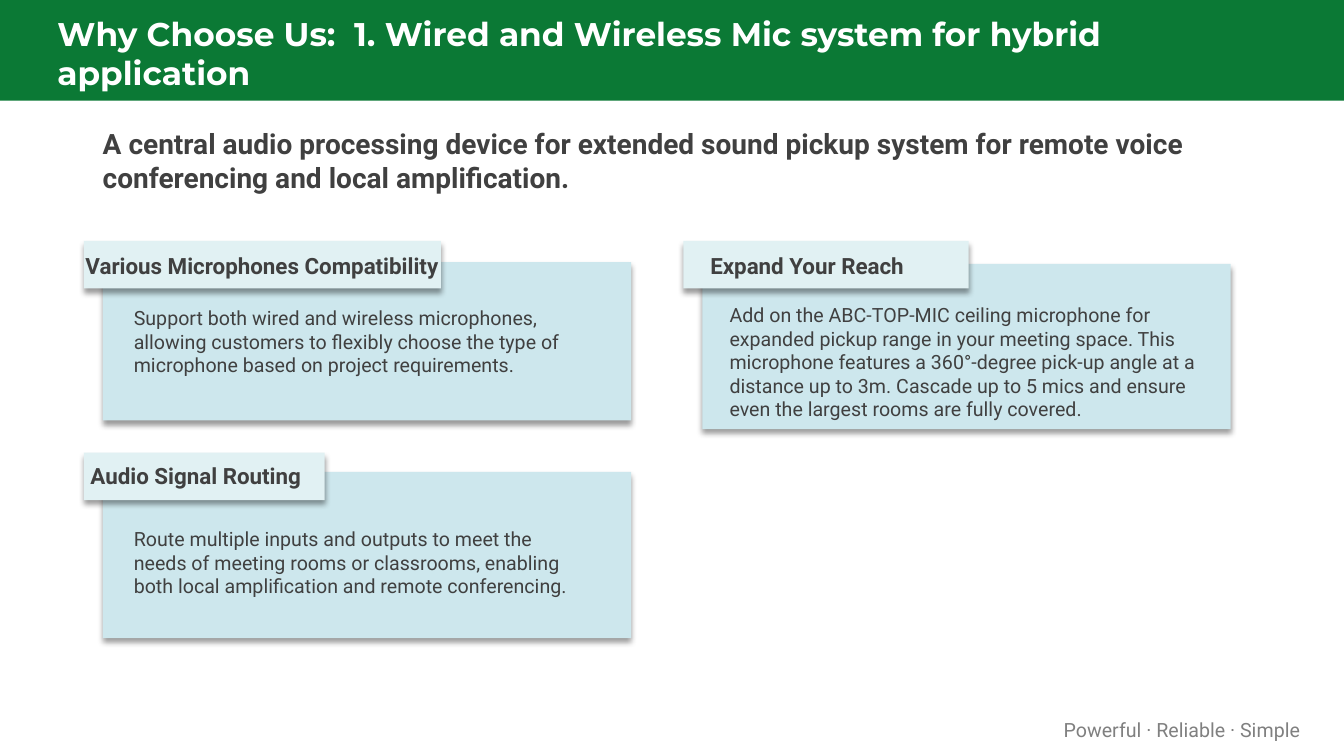
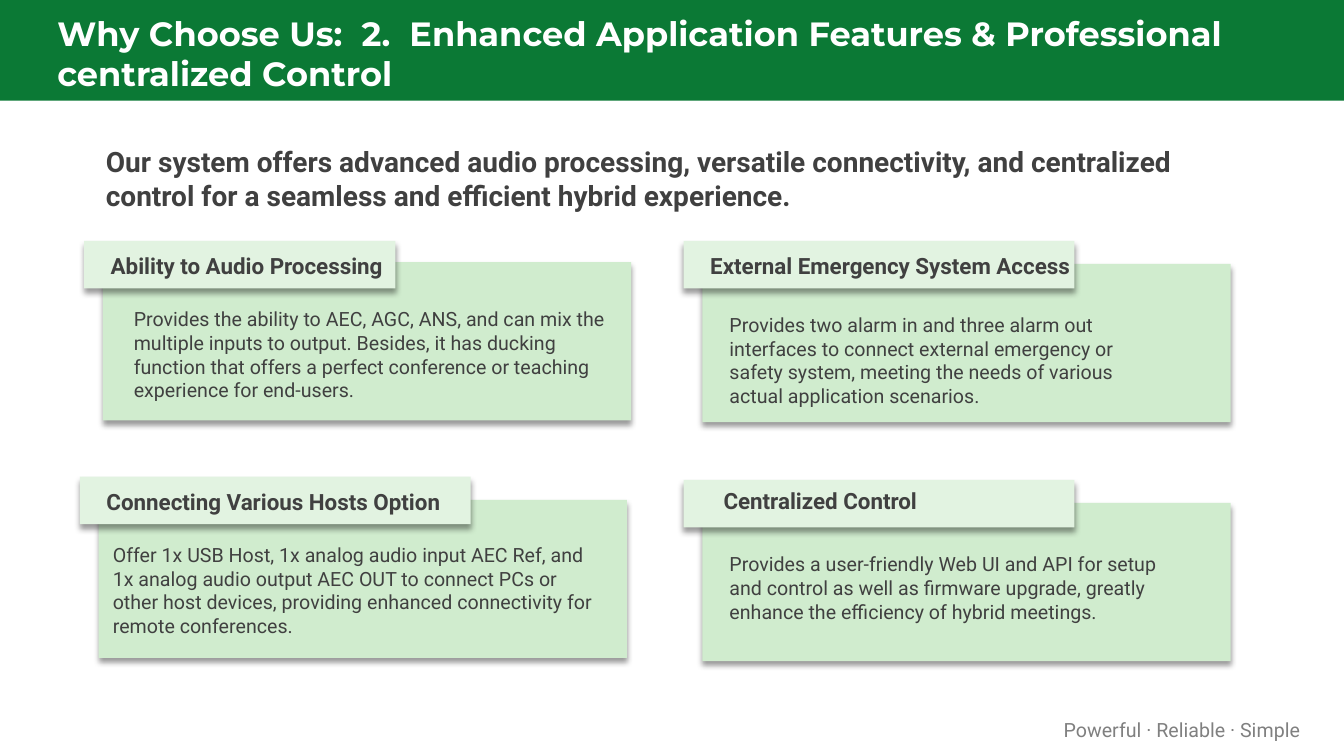
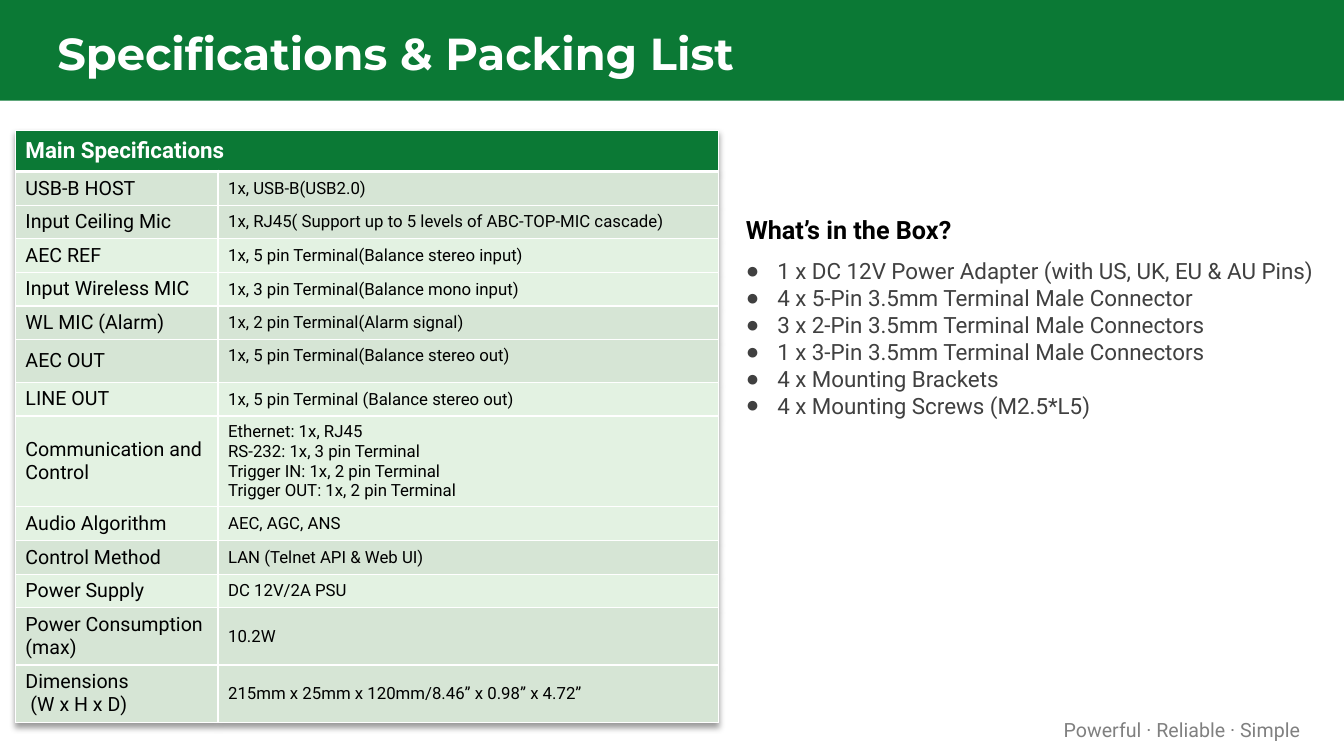
from lxml import etree
from pptx import Presentation
from pptx.dml.color import RGBColor
from pptx.enum.shapes import MSO_SHAPE
from pptx.enum.text import MSO_ANCHOR, MSO_AUTO_SIZE, PP_ALIGN
from pptx.oxml import parse_xml
from pptx.oxml.ns import nsdecls, qn
from pptx.util import Pt

W, H = 960, 540
COLORS = {
    "green": "0B7935", "white": "FFFFFF", "black": "000000",
    "text": "404040", "muted": "808080",
    "blue_panel": "CDE7ED", "blue_tab": "E1F1F3",
    "green_panel": "D0ECCE", "green_tab": "E2F3E1",
    "row_dark": "D6E5D5", "row_light": "E3F2E2",
}
TITLE_FONT, BODY_FONT = "Montserrat", "Roboto"
PANEL_W, TAB_H, TAB_DX = 377.25, 34, -13.5
ROW_H = 23.75


def rgb(name):
    return RGBColor.from_string(COLORS[name])


def write(tf, text, size=14, color="text", bold=False, font=BODY_FONT,
          align=None, line=None, anchor=MSO_ANCHOR.TOP):
    """Fill a text frame, one paragraph for each line of text."""
    tf.word_wrap = True
    tf.vertical_anchor = anchor
    for i, part in enumerate(text.split("\n")):
        p = tf.paragraphs[0] if i == 0 else tf.add_paragraph()
        p.alignment = align
        if line:
            p.line_spacing = Pt(line)
        r = p.add_run()
        r.text = part
        r.font.name, r.font.size, r.font.bold = font, Pt(size), bold
        r.font.color.rgb = rgb(color)
    return tf


def place(sp, x, y, w, h):
    sp.left, sp.top, sp.width, sp.height = Pt(x), Pt(y), Pt(w), Pt(h)


def text_box(s, x, y, w, h, text, **fmt):
    sp = s.shapes.add_textbox(Pt(x), Pt(y), Pt(w), Pt(h))
    return write(sp.text_frame, text, **fmt)


def shadow():
    return parse_xml(
        f'<a:effectLst {nsdecls("a")}><a:outerShdw blurRad="{Pt(4)}" dist="{Pt(3)}" '
        f'dir="5400000" algn="t" rotWithShape="0"><a:srgbClr val="{COLORS["black"]}">'
        '<a:alpha val="40000"/></a:srgbClr></a:outerShdw></a:effectLst>')


def rect(s, x, y, w, h, fill, raised=False):
    sp = s.shapes.add_shape(MSO_SHAPE.RECTANGLE, Pt(x), Pt(y), Pt(w), Pt(h))
    sp.fill.solid()
    sp.fill.fore_color.rgb = rgb(fill)
    sp.line.fill.background()
    if raised:
        sp._element.spPr.append(shadow())
    else:
        sp.shadow.inherit = False
    return sp


def base_slide(prs, layout, title, size, title_w=888):
    """Slide with the green title band and the footer line."""
    s = prs.slides.add_slide(prs.slide_layouts[layout])
    sp = s.shapes.title
    band = rect(s, 0, 0, W, 72, "green")
    sp._element.addprevious(band._element)
    place(sp, 36, 13.75, title_w, 48)
    tf = write(sp.text_frame, title, size=size, color="white", bold=True,
               font=TITLE_FONT, align=PP_ALIGN.LEFT, anchor=MSO_ANCHOR.MIDDLE)
    tf.auto_size = MSO_AUTO_SIZE.NONE
    tf.margin_left = tf.margin_right = Pt(5)
    tf.margin_top = tf.margin_bottom = Pt(2.25)
    tf = text_box(s, 733.75, 509, 207.25, 24.25, "Powerful · Reliable · Simple",
                  color="muted", align=PP_ALIGN.RIGHT)
    tf.margin_right = Pt(12.25)
    return s


def card(s, theme, box, tab, head, body):
    """Panel with a raised tab; the tab and body sit relative to the panel."""
    x, y, h = box
    tab_dy, tab_w = tab
    head_text, head_dx, head_dy, head_w = head
    body_text, body_dx, body_dy, body_w = body
    tab_x, tab_y = x + TAB_DX, y + tab_dy
    rect(s, x, y, PANEL_W, h, theme + "_panel", raised=True)
    rect(s, tab_x, tab_y, tab_w, TAB_H, theme + "_tab", raised=True)
    text_box(s, tab_x + head_dx, tab_y + head_dy, head_w, 25.25, head_text,
             size=16, bold=True, line=21)
    text_box(s, x + body_dx, y + body_dy, body_w, 79, body_text)


def cards_slide(prs, title, size, title_w, lead, lead_box, theme, cards):
    s = base_slide(prs, 5, title, size, title_w)
    text_box(s, *lead_box, lead, size=20, bold=True)
    for parts in cards:
        card(s, theme, *parts)


def style_cell(cell, fill, bottom=1):
    """Solid fill and white borders."""
    cell.fill.solid()
    cell.fill.fore_color.rgb = rgb(fill)
    tcPr = cell._tc.get_or_add_tcPr()
    for i, side in enumerate("LRTB"):
        ln = etree.Element(qn("a:ln" + side), w=str(Pt(bottom if side == "B" else 1)))
        solid = etree.SubElement(ln, qn("a:solidFill"))
        etree.SubElement(solid, qn("a:srgbClr"), val=COLORS["white"])
        tcPr.insert(i, ln)


def spec_table(s, x, y, heading, rows):
    heights = [29.5] + [row[3] for row in rows]
    frame = s.shapes.add_table(len(heights), 2, Pt(x), Pt(y), Pt(502), Pt(sum(heights)))
    tbl = frame.table
    tbl._tbl.tblPr.insert(0, shadow())
    for col, w in zip(tbl.columns, (144.75, 357.25)):
        col.width = Pt(w)
    for row, h in zip(tbl.rows, heights):
        row.height = Pt(h)
    # Heading row
    tbl.cell(0, 0).merge(tbl.cell(0, 1))
    for cell in tbl.rows[0].cells:
        style_cell(cell, "green", bottom=3)
    write(tbl.cell(0, 0).text_frame, heading, size=16, color="white", bold=True)
    tbl.cell(0, 0).vertical_anchor = MSO_ANCHOR.MIDDLE
    # Specification rows
    for i, (label, value, fill, _) in enumerate(rows, 1):
        for j, (text, size) in enumerate(((label, 14), (value, 12))):
            cell = tbl.cell(i, j)
            style_cell(cell, fill)
            write(cell.text_frame, text, size=size, color="black")
            cell.vertical_anchor = MSO_ANCHOR.MIDDLE
    return tbl


def packing_list(sp, x, y, w, h, heading, items):
    place(sp, x, y, w, h)
    tf = sp.text_frame
    write(tf, "\n".join([heading] + items), size=16)
    tf.auto_size = MSO_AUTO_SIZE.NONE
    for i, p in enumerate(tf.paragraphs):
        pPr = p._p.get_or_add_pPr()
        indent = Pt(22.5) if i else 0
        pPr.set("marL", str(indent))
        pPr.set("indent", str(-indent))
        if i:
            etree.SubElement(pPr, qn("a:buChar"), char="●")
        else:
            etree.SubElement(pPr, qn("a:buNone"))
        p.space_before = Pt(9 if i == 1 else 0)
    font = tf.paragraphs[0].runs[0].font
    font.size, font.bold, font.color.rgb = Pt(18), True, rgb("black")


LEFT, RIGHT = 73.5, 501.75

# Each card: panel (x, y, h), tab (dy, w), heading and body (text, dx, dy, w)
MIC_CARDS = [
    ((LEFT, 187.25, 113), (-15.25, 255),
     ("Various Microphones Compatibility", -6, 3, 280),
     ("Support both wired and wireless microphones, allowing customers to flexibly "
      "choose the type of microphone based on project requirements.", 15, 28, 331.25)),
    ((RIGHT, 188.5, 118), (-16.5, 203.75),
     ("Expand Your Reach", 12, 3, 282.25),
     ("Add on the ABC-TOP-MIC ceiling microphone for expanded pickup range in your "
      "meeting space. This microphone features a 360°-degree pick-up angle at a distance "
      "up to 3m. Cascade up to 5 mics and ensure even the largest rooms are fully covered.",
      12.25, 24.5, 362.25)),
    ((LEFT, 337, 118.75), (-13.75, 172),
     ("Audio Signal Routing", -2.5, 1.5, 185),
     ("Route multiple inputs and outputs to meet the needs of meeting rooms or classrooms, "
      "enabling both local amplification and remote conferencing.", 15, 36, 331.25)),
]

CONTROL_CARDS = [
    ((LEFT, 187.25, 113), (-15.25, 222.5),
     ("Ability to Audio Processing", 12, 3, 219),
     ("Provides the ability to AEC, AGC, ANS, and can mix the multiple inputs to output. "
      "Besides, it has ducking function that offers a perfect conference or teaching "
      "experience for end-users.", 15, 28.75, 359.25)),
    ((RIGHT, 188.5, 113), (-16.5, 279.25),
     ("External Emergency System Access", 12, 3, 273.5),
     ("Provides two alarm in and three alarm out interfaces to connect external emergency "
      "or safety system, meeting the needs of various actual application scenarios.",
      12.25, 31.75, 324)),
    ((70.5, 357, 113), (-16.5, 279.25),
     ("Connecting Various Hosts Option", 12, 3, 273.5),
     ("Offer 1x USB Host, 1x analog audio input AEC Ref, and 1x analog audio output AEC OUT "
      "to connect PCs or other host devices, providing enhanced connectivity for remote "
      "conferences.", 3, 27.5, 363.5)),
    ((RIGHT, 359.25, 113), (-16.5, 279.25),
     ("Centralized Control", 21.5, 0, 203.75),
     ("Provides a user-friendly Web UI and API for setup and control as well as firmware "
      "upgrade, greatly enhance the efficiency of hybrid meetings.", 12.25, 31.75, 324)),
]

# Label, value, fill, row height
SPECS = [
    ("USB-B HOST", "1x, USB-B(USB2.0)", "row_dark", ROW_H),
    ("Input Ceiling Mic", "1x, RJ45( Support up to 5 levels of ABC-TOP-MIC cascade)",
     "row_dark", ROW_H),
    ("AEC REF", "1x, 5 pin Terminal(Balance stereo input)", "row_light", ROW_H),
    ("Input Wireless MIC", "1x, 3 pin Terminal(Balance mono input)", "row_light", ROW_H),
    ("WL MIC (Alarm)", "1x, 2 pin Terminal(Alarm signal)", "row_dark", ROW_H),
    ("AEC OUT", "1x, 5 pin Terminal(Balance stereo out)", "row_dark", 30.5),
    ("LINE OUT", "1x, 5 pin Terminal (Balance stereo out)", "row_light", ROW_H),
    ("Communication and Control",
     "Ethernet: 1x, RJ45\nRS-232: 1x, 3 pin Terminal\n"
     "Trigger IN: 1x, 2 pin Terminal\nTrigger OUT: 1x, 2 pin Terminal", "row_light", 63.5),
    ("Audio Algorithm", "AEC, AGC, ANS", "row_light", ROW_H),
    ("Control Method", "LAN (Telnet API & Web UI)", "row_dark", ROW_H),
    ("Power Supply", "DC 12V/2A PSU", "row_light", ROW_H),
    ("Power Consumption (max)", "10.2W", "row_dark", 40.25),
    ("Dimensions\n(W x H x D)", "215mm x 25mm x 120mm/8.46” x 0.98” x 4.72”",
     "row_dark", 40.25),
]

BOX_ITEMS = [
    "1 x DC 12V Power Adapter (with US, UK, EU & AU Pins)",
    "4 x 5-Pin 3.5mm Terminal Male Connector",
    "3 x 2-Pin 3.5mm Terminal Male Connectors",
    "1 x 3-Pin 3.5mm Terminal Male Connectors",
    "4 x Mounting Brackets",
    "4 x Mounting Screws (M2.5*L5)",
]


def specs_slide(prs):
    s = base_slide(prs, 1, "Specifications & Packing List", 32)
    tbl = spec_table(s, 11, 93, "Main Specifications", SPECS)
    # The AEC OUT value sits above the middle; the dimension order is indented
    tbl.cell(6, 1).margin_bottom = Pt(12)
    order = tbl.cell(13, 0).text_frame.paragraphs[1]
    order._p.get_or_add_pPr().set("marL", str(Pt(3.5)))
    packing_list(s.placeholders[1], 525.5, 149.75, 434.5, 228.25,
                 "What’s in the Box?", BOX_ITEMS)


def main():
    prs = Presentation()
    prs.slide_width, prs.slide_height = Pt(W), Pt(H)
    cards_slide(
        prs, "Why Choose Us:  1. Wired and Wireless Mic system for hybrid application",
        23.4, 888,
        "A central audio processing device for extended sound pickup system for remote "
        "voice conferencing and local amplification.",
        (66.25, 87, 802, 75.5), "blue", MIC_CARDS)
    cards_slide(
        prs, "Why Choose Us:  2.  Enhanced Application Features & Professional "
        "centralized Control", 24, 924,
        "Our system offers advanced audio processing, versatile connectivity, and "
        "centralized control for a seamless and efficient hybrid experience.",
        (68.5, 100, 802, 56), "green", CONTROL_CARDS)
    specs_slide(prs)
    prs.save("out.pptx")


if __name__ == "__main__":
    main()
